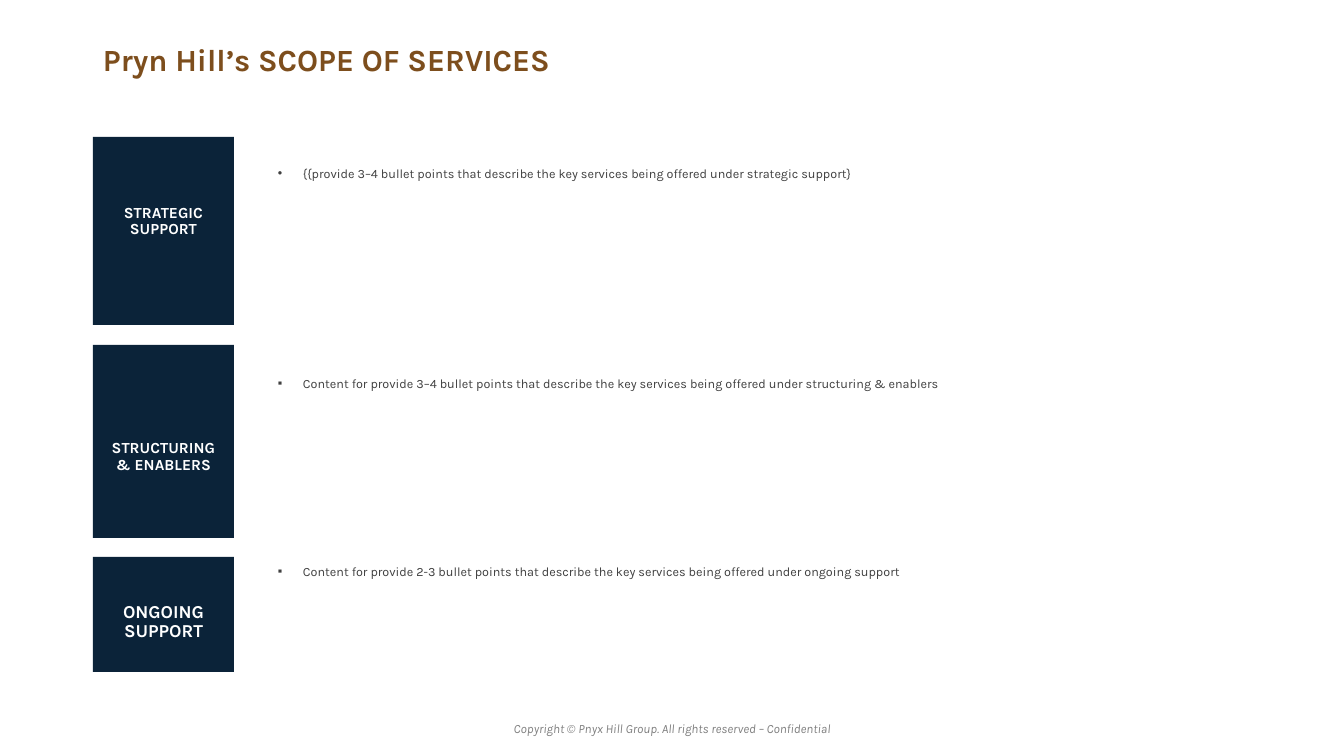
"""Build the scope of services slide."""
from lxml.etree import SubElement
from pptx import Presentation
from pptx.dml.color import RGBColor
from pptx.enum.shapes import MSO_SHAPE as SHAPE
from pptx.enum.text import MSO_ANCHOR as ANCHOR, PP_ALIGN as ALIGN
from pptx.oxml.ns import qn
from pptx.util import Emu, Pt

TITLE = "Pryn Hill’s SCOPE OF SERVICES"
FOOTER = "Copyright © Pnyx Hill Group. All rights reserved – Confidential"
SERVICES = [
    dict(name="STRATEGIC SUPPORT", size=11, top=137, height=188, insets=(5, 24),
         bullet="•", detail_top=137, detail_height=188, detail_inset=38,
         detail="{{provide 3–4 bullet points that describe the key services "
                "being offered under strategic support}"),
    dict(name="STRUCTURING & ENABLERS", size=11, top=345, height=193, insets=(36, 5),
         bullet="▪", detail_top=368, detail_height=188, detail_inset=5,
         detail="Content for provide 3–4 bullet points that describe the key services "
                "being offered under structuring & enablers"),
    dict(name="ONGOING SUPPORT", size=13, top=557, height=115, insets=(20, 5),
         bullet="▪", detail_top=556, detail_height=63, detail_inset=5,
         detail="Content for provide 2-3 bullet points that describe the key services "
                "being offered under ongoing support"),
]
FONT = "Karla"
NAVY, BROWN, WHITE, DARK, GREY = "0B2339", "7D4E1D", "FFFFFF", "404040", "808080"
LEFT, NAME_WIDTH = 93, 141
DETAIL_LEFT, DETAIL_WIDTH, INDENT = 268, 1017, 25


def px(length):
    return Emu(round(length * 914400 / 100.8))


def rgb(color):
    return RGBColor.from_string(color)


def write(shape, text, color, insets=(5, 5), anchor=ANCHOR.TOP, bullet=None,
          paragraph_format=None, **font_format):
    frame = shape.text_frame
    frame_format = dict(word_wrap=True, vertical_anchor=anchor,
                        margin_left=px(10), margin_right=px(10),
                        margin_top=px(insets[0]), margin_bottom=px(insets[1]))
    for key, value in frame_format.items():
        setattr(frame, key, value)
    paragraph = frame.paragraphs[0]
    if bullet:
        properties = paragraph._p.get_or_add_pPr()
        properties.set("marL", str(px(INDENT)))
        properties.set("indent", str(-px(INDENT)))
        SubElement(properties, qn("a:buFont")).set("typeface", "Arial")
        SubElement(properties, qn("a:buChar")).set("char", bullet)
    for key, value in (paragraph_format or {}).items():
        setattr(paragraph, key, value)
    run = paragraph.add_run()
    run.text = text
    run.font.color.rgb = rgb(color)
    for key, value in dict(font_format, name=FONT).items():
        setattr(run.font, key, value)


def add_text(slide, box, text, color, **text_format):
    write(slide.shapes.add_textbox(*map(px, box)), text, color, **text_format)


def add_service(slide, service):
    box = LEFT, service["top"], NAME_WIDTH, service["height"]
    block = slide.shapes.add_shape(SHAPE.RECTANGLE, *map(px, box))
    block.shadow.inherit = False
    block.fill.solid()
    block.fill.fore_color.rgb = rgb(NAVY)
    block.line.fill.background()
    write(block, service["name"], WHITE, insets=service["insets"], anchor=ANCHOR.MIDDLE,
          paragraph_format=dict(alignment=ALIGN.CENTER, line_spacing=0.9),
          size=Pt(service["size"]), bold=True)
    add_text(slide, (DETAIL_LEFT, service["detail_top"], DETAIL_WIDTH, service["detail_height"]),
             service["detail"], DARK, insets=(service["detail_inset"], 5),
             bullet=service["bullet"], size=Pt(9),
             paragraph_format=dict(line_spacing=1.2, space_after=Pt(6)))


def main():
    deck = Presentation()
    deck.slide_width, deck.slide_height = px(1344), px(756)
    slide = deck.slides.add_slide(deck.slide_layouts[6])
    add_text(slide, (400, 716, 544, 25), FOOTER, GREY, size=Pt(9), italic=True,
             paragraph_format=dict(alignment=ALIGN.CENTER))
    add_text(slide, (LEFT, 40, 1158, 91), TITLE, BROWN, size=Pt(22), bold=True,
             paragraph_format=dict(line_spacing=0.9))
    for service in SERVICES:
        add_service(slide, service)
    deck.save("out.pptx")


if __name__ == "__main__":
    main()
